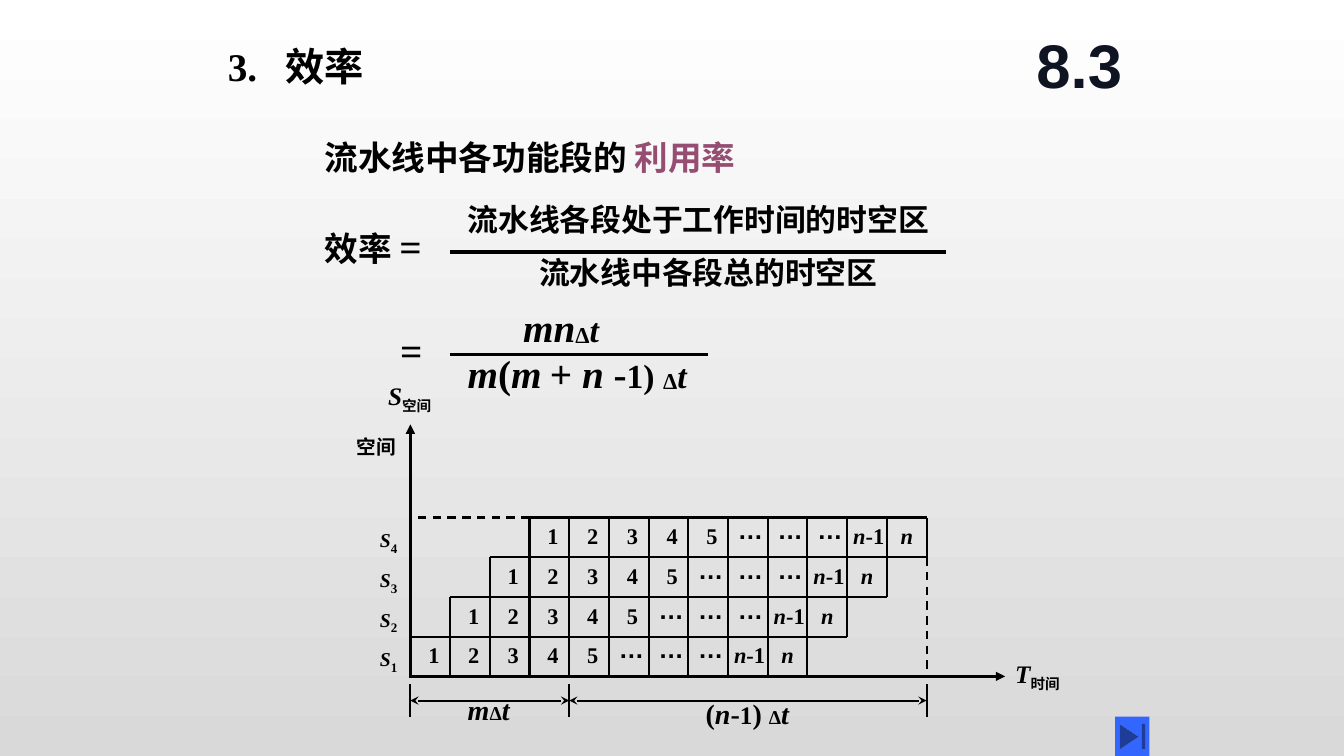
import lxml.etree
import pptx
import pptx.dml.color
import pptx.enum.dml
import pptx.enum.shapes
import pptx.enum.text
import pptx.oxml.ns
import pptx.util

SERIF = "Times New Roman"
BLACK = "000000"
LEFT, BASE = 4.07, 6.71    # origin of the space-time diagram
COLS, STAGES = 13, 4
CELL = 5.12 / COLS
THIN, THICK = 1.5, 2.25


def inch(value):
    return pptx.util.Inches(value)


def rgb(value):
    return pptx.dml.color.RGBColor.from_string(value)


def col(number):
    return LEFT + number * CELL


def row(number):
    return BASE - number * CELL


def add_xml(parent, tag, **attributes):
    return lxml.etree.SubElement(parent, pptx.oxml.ns.qn(tag), **attributes)


def write(tf, runs, size, font=SERIF, tabs=(), inset=0.1, align="LEFT", anchor="TOP"):
    """Fill a frame with one bold paragraph; a run is its text and a dict of changes."""
    tf.word_wrap = True
    tf.auto_size = pptx.enum.text.MSO_AUTO_SIZE.NONE
    tf.vertical_anchor = pptx.enum.text.MSO_ANCHOR[anchor]
    tf.margin_left = inch(inset)
    p = tf.paragraphs[0]
    p.alignment = pptx.enum.text.PP_ALIGN[align]
    if tabs:
        stops = add_xml(p._p.get_or_add_pPr(), "a:tabLst")
        for stop in tabs:
            add_xml(stops, "a:tab", pos=str(inch(stop)), algn="l")
    p.font.name, p.font.size, p.font.bold = font, pptx.util.Pt(size), True
    p.font.color.rgb = rgb(BLACK)
    for text, changes in runs:
        r = p.add_run()
        r.text = text
        if "size" in changes:
            r.font.size = pptx.util.Pt(changes["size"])
        if "italic" in changes:
            r.font.italic = True
        if "color" in changes:
            r.font.color.rgb = rgb(changes["color"])
        if "base" in changes:
            r.font._element.set("baseline", str(changes["base"] * 1000))
    return p


def plain(text, **changes):
    return text, changes


def italic(text, **changes):
    return text, dict(changes, italic=True)


def add_text(s, left, top, width, height, runs, size, **layout):
    sp = s.shapes.add_textbox(inch(left), inch(top), inch(width), inch(height))
    return write(sp.text_frame, runs, size, **layout)


def add_line(s, x1, y1, x2, y2, width=THIN, dash=False, head=None, tail=None):
    line = s.shapes.add_connector(pptx.enum.shapes.MSO_CONNECTOR.STRAIGHT,
                                  inch(x1), inch(y1), inch(x2), inch(y2))
    line.line.color.rgb = rgb(BLACK)
    line.line.width = pptx.util.Pt(width)
    if dash:
        line.line.dash_style = pptx.enum.dml.MSO_LINE.DASH
    ln = line.line._get_or_add_ln()
    for tag, kind in (("a:headEnd", head), ("a:tailEnd", tail)):
        if kind:
            add_xml(ln, tag, type=kind)
    add_xml(line._element.spPr, "a:effectLst")


def add_background(s):
    fill = s.background.fill
    fill.gradient()
    fill.gradient_angle = 270
    for stop, color in zip(fill.gradient_stops, ("FFFFFF", "D9D9D9")):
        stop.color.rgb = rgb(color)


def add_headings(s):
    title = s.shapes.title
    title.left, title.top = inch(2.26), inch(0.36)
    title.width, title.height = inch(2.58), inch(0.58)
    write(title.text_frame, [plain("3.\t效率")], 28, tabs=[0.57], inset=0, anchor="MIDDLE")
    section = add_text(s, 10.08, 0.17, 1.25, 0.92, [plain("8.3")], 44,
                       font="Arial", align="CENTER", anchor="MIDDLE")
    section.font.color.rgb = rgb("0F1423")
    add_text(s, 3.12, 1.31, 9.02, 0.5,
             [plain("流水线中各功能段的 "), plain("利用率", color="954D72")], 24)


def add_formulas(s):
    add_text(s, 3.12, 2.16, 1.34, 0.57, [plain("效率 "), plain("=", size=28)], 24)
    add_text(s, 4.54, 1.94, 6.38, 0.47, [plain("流水线各段处于工作时间的时空区")], 22)
    add_line(s, 4.46, 2.5, 9.38, 2.5, THICK)
    add_text(s, 5.25, 2.47, 5.2, 0.57, [plain("流水线中各段总的时空区")], 22)

    delta_t = [plain("Δ", base=-2), italic("t", size=24)]
    add_text(s, 3.87, 3.19, 0.59, 0.57, [plain("=")], 28)
    add_text(s, 5.09, 2.96, 1.49, 0.57, [italic("mn")] + delta_t, 28)
    add_line(s, 4.46, 3.52, 7.02, 3.52, THICK)
    add_text(s, 4.54, 3.42, 3.54, 0.57,
             [italic("m"), plain("("), italic("m"), italic(" ", size=24), plain("+ "),
              italic("n "), plain("-"), plain("1) ", size=24)] + delta_t, 28)


def add_axes(s):
    add_line(s, LEFT, BASE, 9.97, BASE, THICK, tail="triangle")
    add_line(s, LEFT, 6.73, LEFT, 4.21, THICK, tail="triangle")
    add_text(s, 9.97, 6.48, 0.94, 0.4, [italic("T"), plain("时间", base=-25)], 18)
    add_text(s, 3.75, 3.72, 0.79, 0.4, [italic("S"), plain("空间", base=-25)], 18)
    add_text(s, 3.44, 4.27, 0.79, 0.34, [plain("空间")], 14)


def add_stair_grid(s):
    """Rule the cells of the stages, each shifted one column to the right."""
    for c in range(1, COLS + 1):
        add_line(s, col(c), row(max(0, c - 10)), col(c), row(min(c + 1, STAGES)))
    for r in range(1, STAGES + 1):
        add_line(s, col(r - 1), row(r), col(min(r + 10, COLS)), row(r))
    add_line(s, col(3), row(4), LEFT, row(4), dash=True)
    add_line(s, col(13), row(3), col(13), BASE, dash=True)


def add_stage(s, stage):
    start, top = stage - 1, row(stage)
    add_text(s, 3.67, top + 0.03, 0.47, 0.34,
             [italic("S"), plain(str(stage), size=16, base=-25)], 14)
    for task in range(1, 6):
        add_text(s, col(start + task - 1) + 0.08, top, 0.24, 0.37, [plain(str(task))], 16)
    add_text(s, col(start + 5), top - 0.08, 1.26, 0.4, [plain("…\t…\t…")], 18,
             font="Arial", tabs=[CELL, 2 * CELL])
    add_text(s, col(start + 8), top, 0.94, 0.37,
             [italic("n"), plain("-1\t"), italic("n")], 16, tabs=[0.47], inset=0.06)


def add_durations(s):
    marks = [col(c) for c in (0, 4, 13)]
    for x in marks:
        add_line(s, x, 6.79, x, 7.11)
    for x1, x2 in zip(marks, marks[1:]):
        add_line(s, x1, 6.95, x2, 6.95, head="stealth", tail="stealth")
    delta_t = [plain("Δ", size=14), italic("t")]
    add_text(s, 4.54, 6.82, 1.49, 0.44, [italic("m")] + delta_t, 20)
    add_text(s, 6.9, 6.86, 1.49, 0.44,
             [plain("("), italic("n"), plain("-"), plain("1", size=18), plain(") ")] + delta_t, 20)


def add_end_button(s):
    sp = s.shapes.add_shape(pptx.enum.shapes.MSO_SHAPE.ACTION_BUTTON_END,
                            inch(11.06), inch(7.11), inch(0.34), inch(0.4))
    sp.shadow.inherit = False
    sp.fill.solid()
    sp.fill.fore_color.rgb = rgb("3366FF")
    sp.line.fill.background()


def main():
    prs = pptx.Presentation()
    prs.slide_width, prs.slide_height = inch(13.33), inch(7.5)
    s = prs.slides.add_slide(prs.slide_layouts[5])
    add_background(s)
    add_headings(s)
    add_formulas(s)
    add_axes(s)
    add_stair_grid(s)
    for stage in range(1, STAGES + 1):
        add_stage(s, stage)
    add_durations(s)
    add_end_button(s)
    prs.save("out.pptx")


if __name__ == "__main__":
    main()
